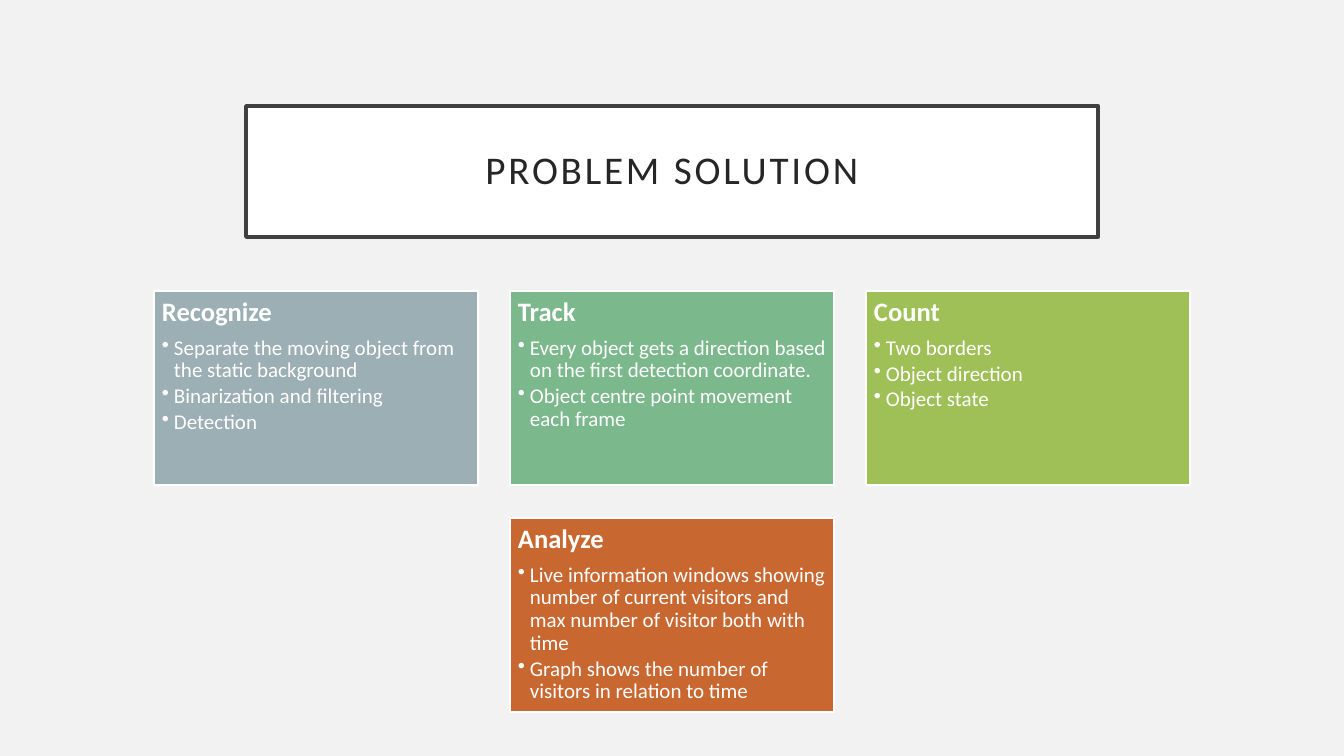
"""Build the problem solution slide: a framed title above four coloured cards."""
from lxml.etree import SubElement as Sub
from pptx import Presentation as Deck
from pptx.dml.color import RGBColor as Rgb
from pptx.enum.shapes import MSO_SHAPE as Kind
from pptx.enum.text import MSO_ANCHOR as Anchor, MSO_AUTO_SIZE as Fit, PP_ALIGN as Align
from pptx.oxml.ns import qn
from pptx.util import Pt

WIDE, HIGH = 1344, 756
SCALE = 12192000 / WIDE
THEME = {
    "font": "Calibri", "back": "F2F2F2", "white": "FFFFFF", "frame": "404040", "ink": "262626",
    "slate": "9BAFB5", "green": "7BB88C", "lime": "9FC057", "rust": "C96731",
    "title": 28, "head": 19, "body": 15,
}
CARDS = [
    (0, 0, "slate", "Recognize", ["Separate the moving object from the static background",
                                  "Binarization and filtering", "Detection"]),
    (1, 0, "green", "Track", ["Every object gets a direction based on the first detection coordinate.",
                              "Object centre point movement each frame"]),
    (2, 0, "lime", "Count", ["Two borders", "Object direction", "Object state"]),
    (1, 1, "rust", "Analyze", ["Live information windows showing number of current visitors "
                               "and max number of visitor both with time",
                               "Graph shows the number of visitors in relation to time"]),
]
LEFT, TOP, CARD_W, CARD_H, STEP_X, STEP_Y = 154, 291, 324, 194, 356, 227


def px(size):
    """Turn pixels into EMU."""
    return round(size * SCALE)


def style(shape, box, fill, line, width, inset, anchor, align):
    """Place a box and set its fill, outline and text frame."""
    for name, size in zip(("left", "top", "width", "height"), box):
        setattr(shape, name, px(size))
    shape.fill.solid()
    shape.fill.fore_color.rgb = Rgb.from_string(THEME[fill])
    shape.line.color.rgb = Rgb.from_string(THEME[line])
    shape.line.width = Pt(width)
    frame = shape.text_frame
    form = {"word_wrap": True, "auto_size": Fit.NONE, "vertical_anchor": anchor}
    form |= {f"margin_{side}": px(inset) for side in ("left", "top", "right", "bottom")}
    for name, value in form.items():
        setattr(frame, name, value)
    for part in frame.paragraphs:
        part.alignment = align
        part.line_spacing = 0.9
    return frame


deck = Deck()
deck.slide_width, deck.slide_height = px(WIDE), px(HIGH)
slide = deck.slides.add_slide(deck.slide_layouts[5])
slide.background.fill.solid()
slide.background.fill.fore_color.rgb = Rgb.from_string(THEME["back"])

title = slide.shapes.title
title.text = "PROBLEM SOLUTION"
frame = style(title, (246, 106, 852, 131), "white", "frame", 2.5, 20, Anchor.MIDDLE, Align.CENTER)
run = frame.paragraphs[0].runs[0]
for name, value in {"name": THEME["font"], "size": Pt(THEME["title"])}.items():
    setattr(run.font, name, value)
run.font.color.rgb = Rgb.from_string(THEME["ink"])
run.font._element.set("spc", "200")

for col, row, fill, head, points in CARDS:
    box = (LEFT + col * STEP_X, TOP + row * STEP_Y, CARD_W, CARD_H)
    card = slide.shapes.add_shape(Kind.RECTANGLE, *map(px, box))
    card.shadow.inherit = False
    card.text_frame.text = "\n".join([head, *points])
    frame = style(card, box, fill, "white", 1, 8, Anchor.TOP, Align.LEFT)
    for spot, part in enumerate(frame.paragraphs):
        size = THEME["body" if spot else "head"]
        part.space_after = Pt(size * (0.15 if spot else 0.35))
        form = {"name": THEME["font"], "size": Pt(size), "bold": spot == 0}
        font = part.runs[0].font
        for name, value in form.items():
            setattr(font, name, value)
        font.color.rgb = Rgb.from_string(THEME["white"])
        if spot:
            part.level = 1
            props = part._p.get_or_add_pPr()
            props.set("marL", str(px(12)))
            props.set("indent", str(px(-12)))
            Sub(props, qn("a:buChar"), char="•")

deck.save("out.pptx")
